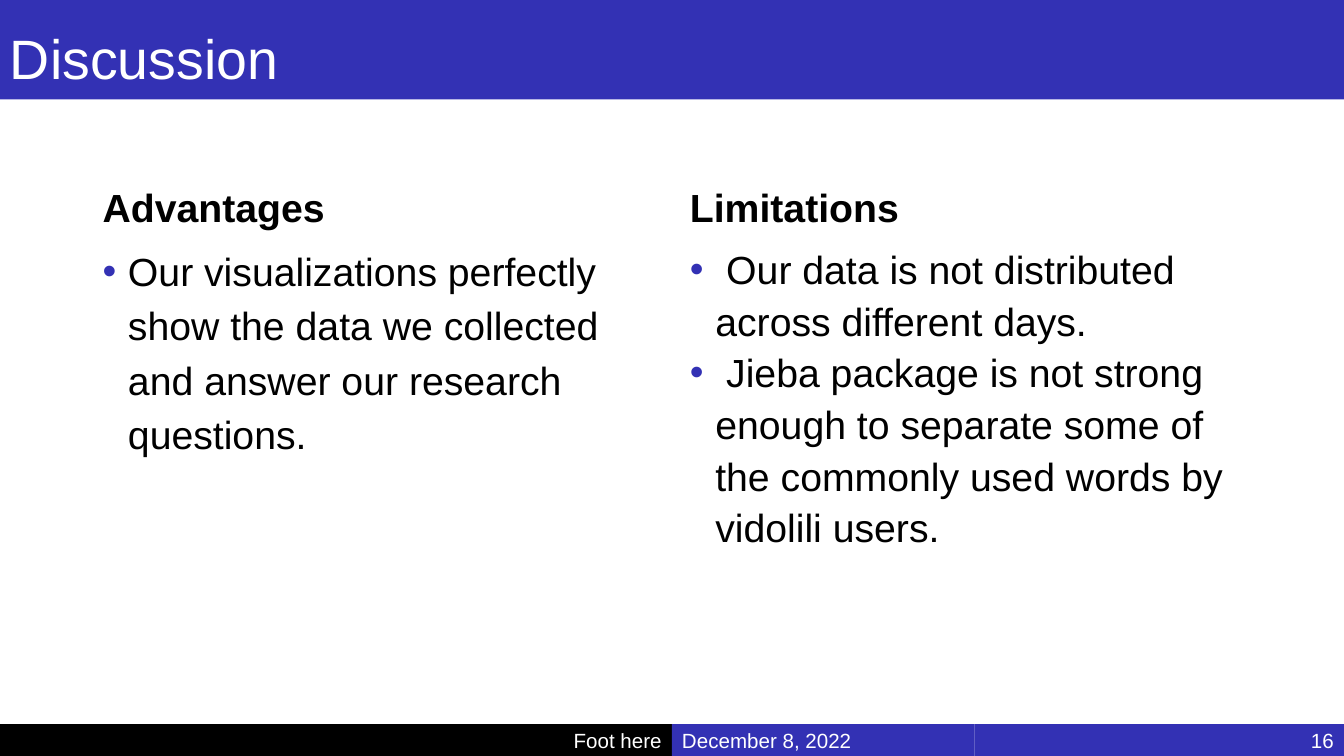
import pptx
import pptx.dml.color
import pptx.enum.shapes
import pptx.enum.text
import pptx.oxml
import pptx.oxml.ns
import pptx.util

Cm, Pt = pptx.util.Cm, pptx.util.Pt
ALIGN = pptx.enum.text.PP_ALIGN
ANCHOR = pptx.enum.text.MSO_ANCHOR

# Content
COLORS = {"blue": "3331B4", "black": "000000", "white": "FFFFFF"}
TITLE = "Discussion"
COLUMNS = [
    {"left": 1.75, "width": 10.74, "spacing": 1.15, "heading": "Advantages",
     "points": ["Our visualizations perfectly show the data we collected "
                "and answer our research questions."]},
    {"left": 12.85, "width": 10.8, "spacing": 1.1, "heading": "Limitations",
     "points": [" Our data is not distributed across different days.",
                " Jieba package is not strong enough to separate some of "
                "the commonly used words by vidolili users."]},
]
FOOTER = [  # text, width, fill, alignment
    ("Foot here", 12.7, "black", ALIGN.RIGHT),
    ("December 8, 2022", 5.72, "blue", ALIGN.LEFT),
    ("16", 6.98, "blue", ALIGN.RIGHT),
]

# Layout in centimetres
WIDTH, HEIGHT = 25.4, 14.29
TITLE_H, FOOTER_H = 1.88, 0.6
HEADING_TOP, HEADING_H, BODY_H = 2.72, 1.73, 7.67
INDENT = 0.48


def rgb(name):
    return pptx.dml.color.RGBColor.from_string(COLORS[name])


def add_bullet(p):
    pPr = p._p.get_or_add_pPr()
    pPr.set("marL", str(Cm(INDENT)))
    pPr.set("indent", str(-Cm(INDENT)))
    ns = pptx.oxml.ns.nsdecls("a")
    for xml in (f'<a:buClr {ns}><a:srgbClr val="{COLORS["blue"]}"/></a:buClr>',
                f'<a:buFont {ns} typeface="Arial"/>',
                f'<a:buChar {ns} char="•"/>'):
        pPr.append(pptx.oxml.parse_xml(xml))


def write(s, lines, size, color="black", bold=False, spacing=1.0,
          align=ALIGN.LEFT, anchor=ANCHOR.MIDDLE, top=0.1, bullets=False):
    tf = s.text_frame
    frame = {"word_wrap": True, "vertical_anchor": anchor,
             "margin_left": Cm(0.19), "margin_right": Cm(0.19),
             "margin_top": Cm(top), "margin_bottom": Cm(0.1)}
    for name, value in frame.items():
        setattr(tf, name, value)
    for i, line in enumerate(lines):
        p = tf.add_paragraph() if i else tf.paragraphs[0]
        if bullets:
            add_bullet(p)
        p.alignment, p.line_spacing = align, spacing
        r = p.add_run()
        r.text = line
        font = {"name": "Arial", "size": Pt(size), "bold": bold}
        for name, value in font.items():
            setattr(r.font, name, value)
        r.font.color.rgb = rgb(color)


def add_bar(slide, left, top, width, height, fill):
    s = slide.shapes.add_shape(pptx.enum.shapes.MSO_SHAPE.RECTANGLE,
                               Cm(left), Cm(top), Cm(width), Cm(height))
    s.shadow.inherit = False
    s.fill.solid()
    s.fill.fore_color.rgb = rgb(fill)
    s.line.fill.background()
    return s


prs = pptx.Presentation()
prs.slide_width, prs.slide_height = Cm(WIDTH), Cm(HEIGHT)
slide = prs.slides.add_slide(prs.slide_layouts[6])

# Two columns: heading above bullet points
for col in COLUMNS:
    left, width = Cm(col["left"]), Cm(col["width"])
    heading = slide.shapes.add_textbox(left, Cm(HEADING_TOP), width, Cm(HEADING_H))
    write(heading, [col["heading"]], 21, bold=True, spacing=1.1,
          anchor=ANCHOR.BOTTOM)
    body = slide.shapes.add_textbox(left, Cm(HEADING_TOP + HEADING_H),
                                    width, Cm(BODY_H))
    write(body, col["points"], 21, spacing=col["spacing"],
          anchor=ANCHOR.TOP, bullets=True)

# Title bar
title = add_bar(slide, 0, 0, WIDTH, TITLE_H, "blue")
write(title, [TITLE], 29.7, "white", spacing=0.9, top=0.56)

# Footer bars, side by side
left = 0
for text, width, fill, align in FOOTER:
    bar = add_bar(slide, left, HEIGHT - FOOTER_H, width, FOOTER_H, fill)
    write(bar, [text], 11, "white", align=align)
    left += width

prs.save("out.pptx")
